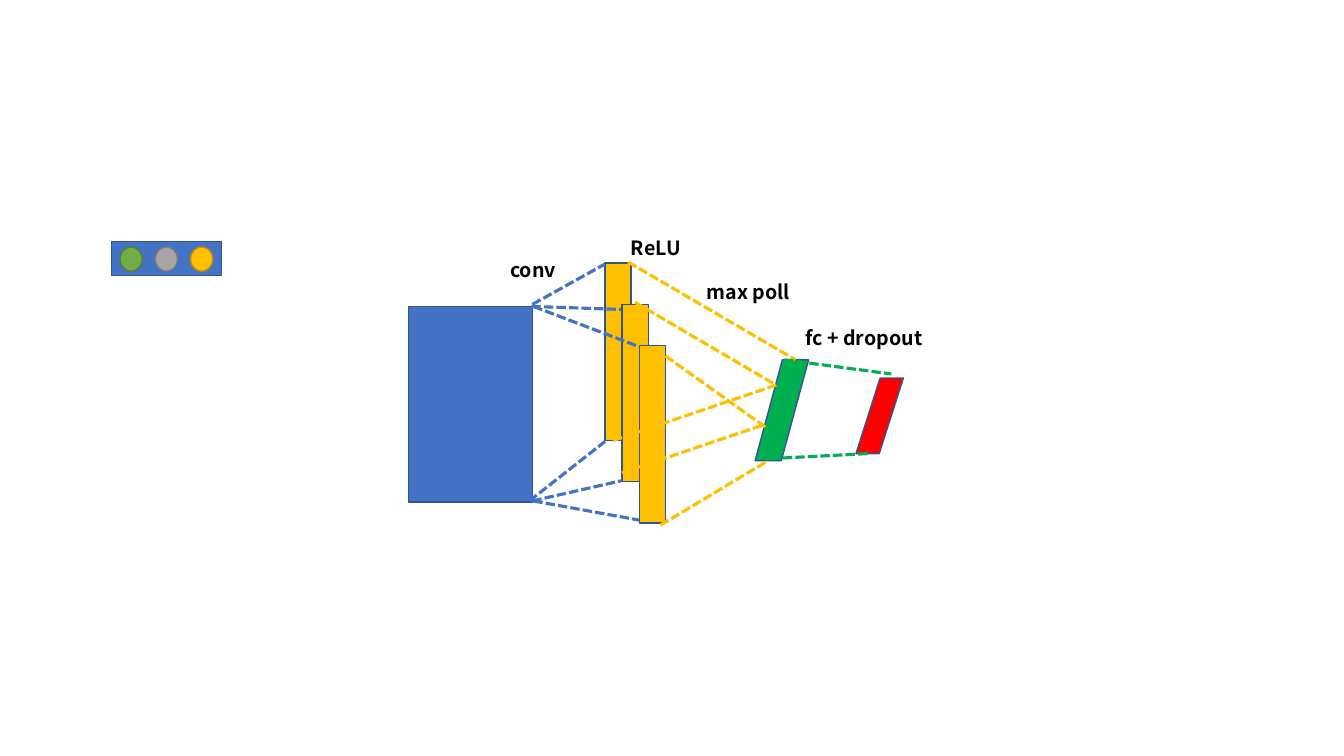
import pptx
import pptx.util
import pptx.dml.color
import pptx.enum.dml
import pptx.enum.shapes
import pptx.enum.text
import pptx.oxml.ns
import lxml.etree

Inches = pptx.util.Inches
Pt = pptx.util.Pt
Color = pptx.dml.color.RGBColor
Kind = pptx.enum.shapes.MSO_SHAPE

BLACK = Color(0, 0, 0)
BLUE = Color(0x44, 0x72, 0xC4)
NAVY = Color(0x32, 0x54, 0x91)
GOLD = Color(0xFF, 0xC0, 0x00)
OCHRE = Color(0xBD, 0x8E, 0x00)
GREEN = Color(0x00, 0xB0, 0x50)
RED = Color(0xFF, 0x00, 0x00)
GRAY = Color(0xA5, 0xA5, 0xA5)
SLATE = Color(0x7A, 0x7A, 0x7A)
LEAF = Color(0x70, 0xAD, 0x47)
MOSS = Color(0x53, 0x80, 0x35)


class Board:
    """Holds the style and the current slide."""

    font = "Noto Sans CJK SC"
    size = 14
    edge = 1
    dash = 2.25

    def __init__(self, slide):
        """Keep the slide to draw on."""
        self.slide = slide

    def shape(self, kind, box, fill, line=NAVY, turn=0, skew=None, group=None):
        """Add a filled shape to the slide or to a group."""
        home = group or self.slide
        item = home.shapes.add_shape(kind, *map(Inches, box))
        item.shadow.inherit = False
        item.fill.solid()
        item.fill.fore_color.rgb = fill
        item.line.color.rgb = line
        item.line.width = Pt(self.edge)
        item.rotation = turn
        if skew is not None:
            item.adjustments[0] = skew

    def ray(self, start, end, color):
        """Add a dashed line between two points."""
        item = self.slide.shapes.add_connector(
            pptx.enum.shapes.MSO_CONNECTOR.STRAIGHT, *map(Inches, start + end))
        item.line.color.rgb = color
        item.line.width = Pt(self.dash)
        item.line.dash_style = pptx.enum.dml.MSO_LINE.SQUARE_DOT
        props = item._element.spPr
        lxml.etree.SubElement(props, pptx.oxml.ns.qn("a:effectLst"))

    def text(self, words, box, color=BLACK, bold=True,
             align=pptx.enum.text.PP_ALIGN.JUSTIFY):
        """Add a text box with one formatted run."""
        frame = self.slide.shapes.add_textbox(*map(Inches, box)).text_frame
        frame.word_wrap = True
        para = frame.paragraphs[0]
        para.alignment = align
        run = para.add_run()
        run.text = words
        run.font.name = self.font
        run.font.size = Pt(self.size)
        run.font.bold = bold
        run.font.color.rgb = color


def layers(board):
    """Draw the input, the feature maps and the dense layers."""
    board.shape(Kind.RECTANGLE, (4.05, 3.04, 1.23, 1.94), BLUE)
    for step in range(3):
        box = (6 + 0.17 * step, 2.61 + 0.41 * step, 0.26, 1.76)
        board.shape(Kind.RECTANGLE, box, GOLD)
    conv = [
        ((5.28, 3.02), (6, 2.62)), ((5.25, 4.97), (6, 4.38)),
        ((5.27, 3.04), (6.16, 3.07)), ((5.28, 4.97), (6.16, 4.77)),
        ((5.29, 3.04), (6.34, 3.44)), ((5.29, 4.97), (6.34, 5.16)),
    ]
    pool = [
        ((6.23, 2.6), (7.89, 3.57)), ((6.08, 4.37), (7.7, 3.82)),
        ((6.3, 3), (7.68, 3.81)), ((6.17, 4.69), (7.56, 4.22)),
        ((6.5, 3.46), (7.61, 4.25)), ((6.55, 5.21), (7.62, 4.57)),
    ]
    dense = [((7.78, 3.57), (8.84, 3.71)), ((7.64, 4.55), (8.61, 4.5))]
    slant = Kind.PARALLELOGRAM
    for start, end in conv:
        board.ray(start, end, BLUE)
    board.shape(slant, (7.49, 3.57, 0.53, 1), GREEN, skew=0.51)
    for start, end in pool:
        board.ray(start, end, GOLD)
    board.shape(slant, (8.49, 3.75, 0.47, 0.75), RED, skew=0.51)
    for start, end in dense:
        board.ray(start, end, GREEN)


def labels(board):
    """Name each stage."""
    for words, left, top, width in [
        ("conv", 4.96, 2.51, 0.79),
        ("ReLU", 6.16, 2.29, 0.79),
        ("max poll", 6.91, 2.73, 1.54),
        ("fc + dropout", 7.89, 3.18, 1.39),
    ]:
        board.text(words, (left, top, width, 0.56))


def lights(board):
    """Draw the grouped bar with three round lights."""
    group = board.slide.shapes.add_group_shape()
    board.shape(Kind.RECTANGLE, (1.48, 2.02, 0.34, 1.09), BLUE,
                turn=270, group=group)
    lamps = [(GOLD, OCHRE), (GRAY, SLATE), (LEAF, MOSS)]
    for step, (fill, line) in enumerate(lamps):
        board.shape(Kind.OVAL, (1.88 - 0.35 * step, 2.46, 0.24, 0.22),
                    fill, line, turn=270, group=group)


def main():
    """Build and save the slide."""
    deck = pptx.Presentation()
    deck.slide_width = Inches(13.33)
    deck.slide_height = Inches(7.5)
    board = Board(deck.slides.add_slide(deck.slide_layouts[6]))
    layers(board)
    labels(board)
    lights(board)
    deck.save("out.pptx")


main()
